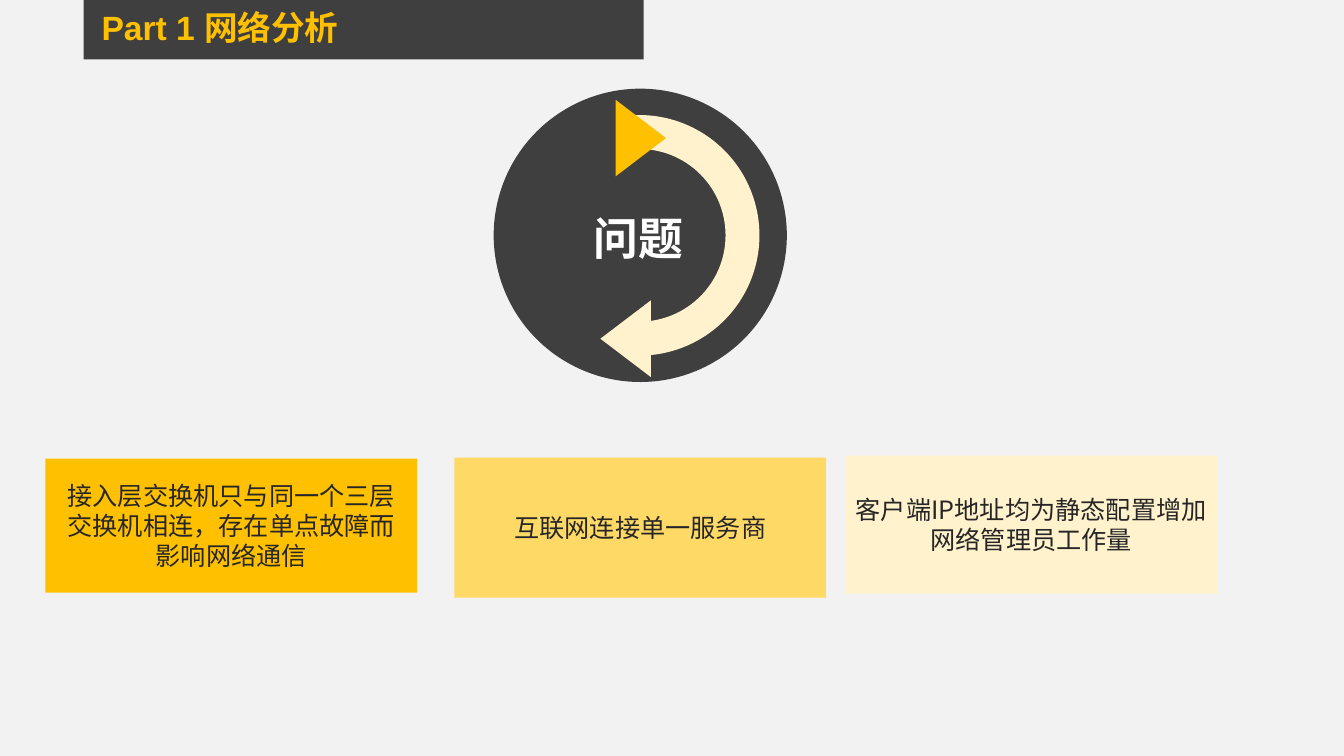
from lxml import etree
from pptx import Presentation
from pptx.dml.color import RGBColor
from pptx.enum.shapes import MSO_SHAPE
from pptx.enum.text import MSO_ANCHOR, PP_ALIGN
from pptx.oxml.ns import qn
from pptx.util import Inches, Pt

RECT, OVAL = MSO_SHAPE.RECTANGLE, MSO_SHAPE.OVAL
ARC, TRIANGLE = MSO_SHAPE.ARC, MSO_SHAPE.ISOSCELES_TRIANGLE
MIDDLE, CENTER = MSO_ANCHOR.MIDDLE, PP_ALIGN.CENTER

COLORS = {"background": "F2F2F2", "dark": "3F3F3F", "gold": "FFC000",
          "amber": "FFD966", "cream": "FFF2CC", "ink": "262626", "white": "FFFFFF"}
CJK_FONT = "Noto Sans CJK SC"

# Content
TITLE = "Part 1 网络分析"
TOPIC = "问题"
CARD_WIDTH = 3.69
PROBLEMS = [  # text, left, top, height, fill
    ("接入层交换机只与同一个三层交换机相连，存在单点故障而影响网络通信", 0.45, 4.55, 1.33, "gold"),
    ("互联网连接单一服务商", 4.51, 4.54, 1.39, "amber"),
    ("客户端IP地址均为静态配置增加网络管理员工作量", 8.39, 4.52, 1.37, "cream"),
]
ARROWHEADS = [  # left, top, rotation, fill
    (5.98, 1.12, 90, "gold"),
    (5.83, 3.11, 270, "cream"),
]
ARC_START, ARC_END = 265, 99  # degrees, clockwise from the right
DEGREE = 0.6  # one degree as an adjustment value


def color(key):
    return RGBColor.from_string(COLORS[key])


def add_figure(kind, box, fill):
    figure = slide.shapes.add_shape(kind, *map(Inches, box))
    figure.shadow.inherit = False
    figure.line.fill.background()
    if fill:
        figure.fill.solid()
        figure.fill.fore_color.rgb = color(fill)
    else:
        figure.fill.background()
    return figure


def write(holder, text, size, ink, bold=False, latin=CJK_FONT):
    paragraph = holder.text_frame.paragraphs[0]
    paragraph.text = text
    run = paragraph.runs[0]
    run.font.name = latin
    run.font.size = Pt(size)
    run.font.bold = bold
    run.font.color.rgb = color(ink)
    east_asian = etree.SubElement(run.font._element, qn("a:ea"))
    east_asian.set("typeface", CJK_FONT)
    return paragraph


presentation = Presentation()
presentation.slide_width, presentation.slide_height = Inches(13.34), Inches(7.5)
slide = presentation.slides.add_slide(presentation.slide_layouts[6])
slide.background.fill.solid()
slide.background.fill.fore_color.rgb = color("background")

# Title bar
add_figure(RECT, (0.83, 0, 5.56, 0.59), "dark")
title = slide.shapes.add_textbox(*map(Inches, (0.91, 0.06, 3.74, 0.51)))
title.text_frame.word_wrap = True
write(title, TITLE, 24, "gold", True, "Arial").line_spacing = 0.9

# Topic disc with its circular arrow
add_figure(OVAL, (4.9, 0.88, 2.91, 2.91), "dark")
sweep = add_figure(ARC, (5.32, 1.31, 2.05, 2.05), None)
sweep.adjustments[0] = ARC_START * DEGREE
sweep.adjustments[1] = ARC_END * DEGREE
sweep.line.color.rgb = color("cream")
sweep.line.width = Pt(24.25)
for left, top, rotation, fill in ARROWHEADS:
    add_figure(TRIANGLE, (left, top, 0.76, 0.5), fill).rotation = rotation
topic = slide.shapes.add_textbox(*map(Inches, (5.79, 2.04, 1.09, 0.64)))
topic.text_frame.word_wrap = False
write(topic, TOPIC, 32, "white", True)

# Problem cards
for text, left, top, height, fill in PROBLEMS:
    card = add_figure(RECT, (left, top, CARD_WIDTH, height), fill)
    card.text_frame.word_wrap = True
    card.text_frame.vertical_anchor = MIDDLE
    write(card, text, 18, "ink").alignment = CENTER

presentation.save("out.pptx")
